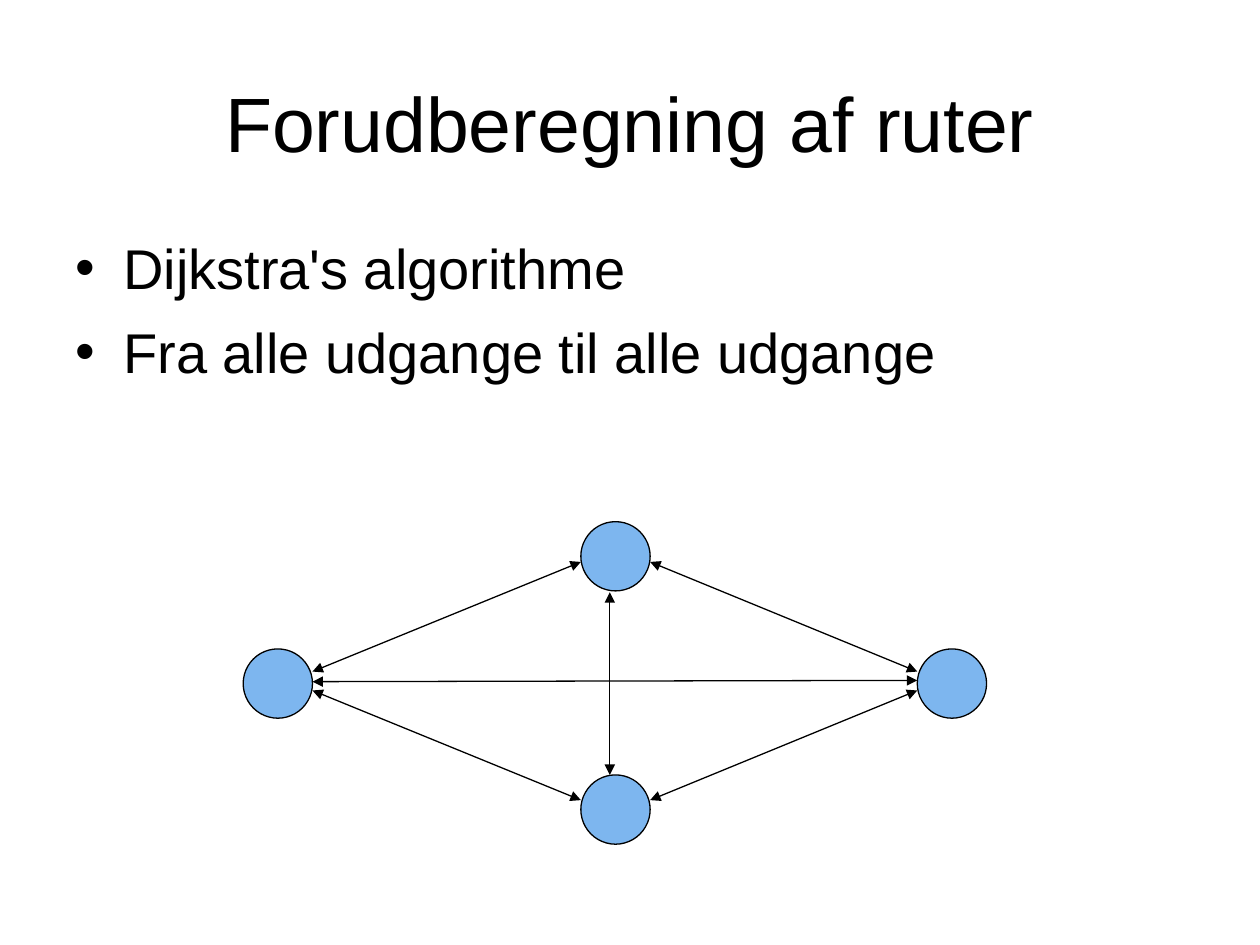
import pptx
import pptx.dml.color
import pptx.enum.shapes
import pptx.enum.text
import pptx.oxml.ns
import pptx.util
from lxml import etree
from pptx.util import Inches

COLORS = {"text": "000000", "line": "000000", "node": "7DB6EF"}
NODE_SIZE = 0.55
NODES = [(1.93, 5.15), (4.61, 6.15), (4.61, 4.14), (7.28, 5.15)]
ROUTES = [
    ((2.48, 5.33), (4.61, 4.46)),
    ((5.16, 6.35), (7.28, 5.48)),
    ((2.48, 5.48), (4.61, 6.35)),
    ((5.16, 4.46), (7.28, 5.33)),
    ((4.84, 4.7), (4.84, 6.15)),
    ((2.48, 5.41), (7.28, 5.4)),
]


def rgb(name):
    return pptx.dml.color.RGBColor.from_string(COLORS[name])


def add_child(parent, tag, **attributes):
    return etree.SubElement(parent, pptx.oxml.ns.qn(tag), **attributes)


def write_text(paragraph, text, size=32, font="Arial", color="text",
               align=pptx.enum.text.PP_ALIGN.LEFT, space_before=0, bullet=None):
    paragraph.alignment = align
    paragraph.space_before = pptx.util.Pt(space_before)
    run = paragraph.add_run()
    run.text = text
    run.font.size = pptx.util.Pt(size)
    run.font.name = font
    run.font.color.rgb = rgb(color)
    if bullet:
        properties = paragraph._p.get_or_add_pPr()
        indent = Inches(0.38)
        properties.set("marL", str(indent))
        properties.set("indent", str(-indent))
        add_child(properties, "a:buFont", typeface=font)
        add_child(properties, "a:buChar", char=bullet)


class SlideBuilder:
    def __init__(self, slide, line_width=0.75):
        self.slide = slide
        self.line_width = pptx.util.Pt(line_width)

    def style_line(self, line):
        line.color.rgb = rgb("line")
        line.width = self.line_width

    def text_box(self, left, top, width, height, lines, anchor, top_inset, **text_format):
        shape = self.slide.shapes.add_textbox(
            Inches(left), Inches(top), Inches(width), Inches(height))
        frame = shape.text_frame
        frame.word_wrap = True
        frame.vertical_anchor = anchor
        frame.margin_top = Inches(top_inset)
        for index, text in enumerate(lines):
            paragraph = frame.add_paragraph() if index else frame.paragraphs[0]
            write_text(paragraph, text, **text_format)

    def node(self, left, top):
        shape = self.slide.shapes.add_shape(
            pptx.enum.shapes.MSO_SHAPE.OVAL,
            Inches(left), Inches(top), Inches(NODE_SIZE), Inches(NODE_SIZE))
        shape.shadow.inherit = False
        shape.fill.solid()
        shape.fill.fore_color.rgb = rgb("node")
        self.style_line(shape.line)

    def route(self, start, end):
        """Draw a line with an arrowhead at both ends."""
        connector = self.slide.shapes.add_connector(
            pptx.enum.shapes.MSO_CONNECTOR.STRAIGHT,
            *(Inches(value) for value in start + end))
        self.style_line(connector.line)
        line = connector.line._get_or_add_ln()
        for tag in ("a:headEnd", "a:tailEnd"):
            add_child(line, tag, type="triangle")
        add_child(connector._element.spPr, "a:effectLst")


def main():
    presentation = pptx.Presentation()
    presentation.slide_width = Inches(10)
    presentation.slide_height = Inches(7.5)
    builder = SlideBuilder(presentation.slides.add_slide(presentation.slide_layouts[6]))

    builder.text_box(0.5, 0.3, 9, 1.25, ["Forudberegning af ruter"],
                     pptx.enum.text.MSO_ANCHOR.MIDDLE, 0.13,
                     size=44, align=pptx.enum.text.PP_ALIGN.CENTER)
    builder.text_box(0.5, 1.75, 9, 4.95,
                     ["Dijkstra's algorithme", "Fra alle udgange til alle udgange"],
                     pptx.enum.text.MSO_ANCHOR.TOP, 0.1, space_before=10, bullet="•")
    for left, top in NODES:
        builder.node(left, top)
    for start, end in ROUTES:
        builder.route(start, end)

    presentation.save("out.pptx")


if __name__ == "__main__":
    main()
